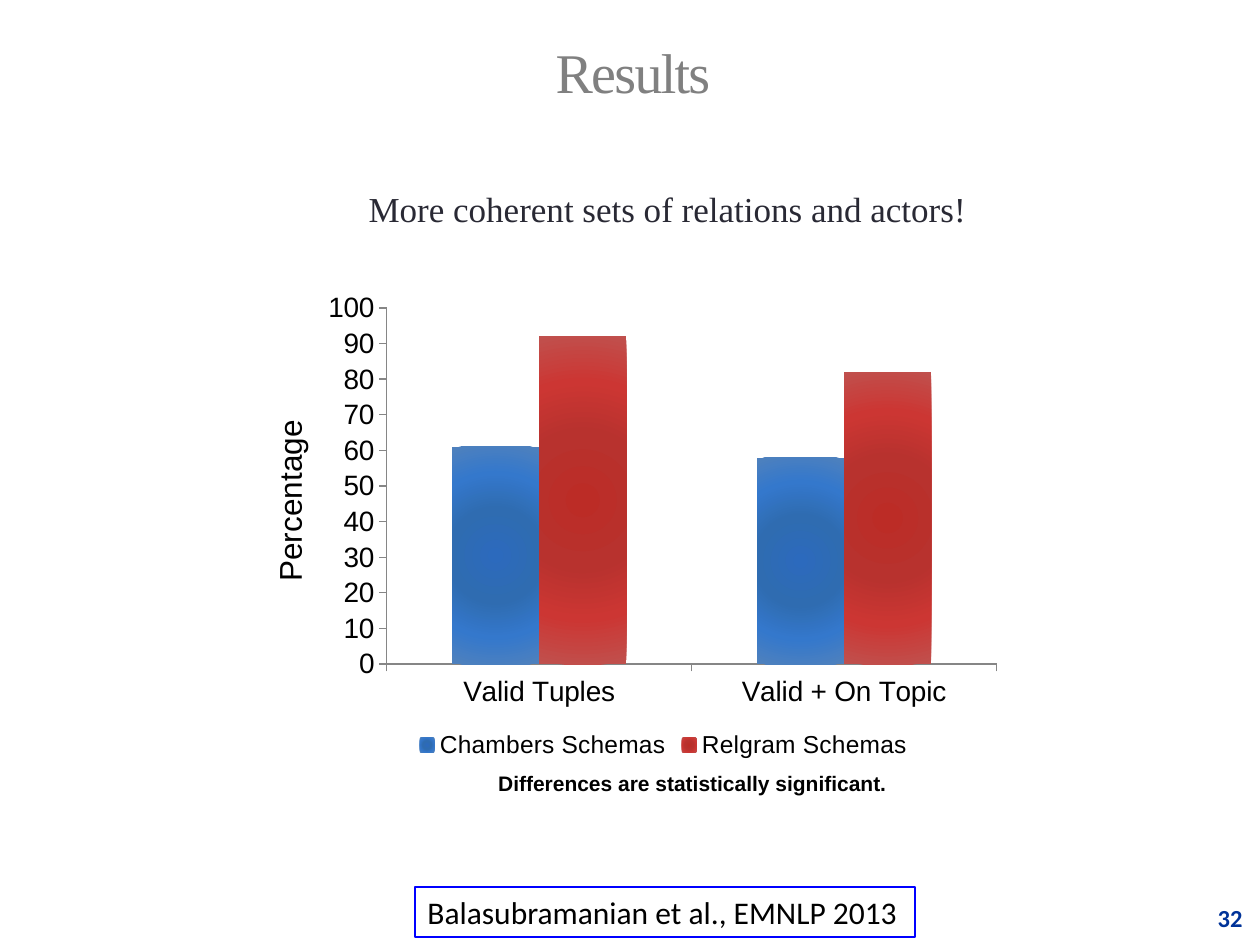
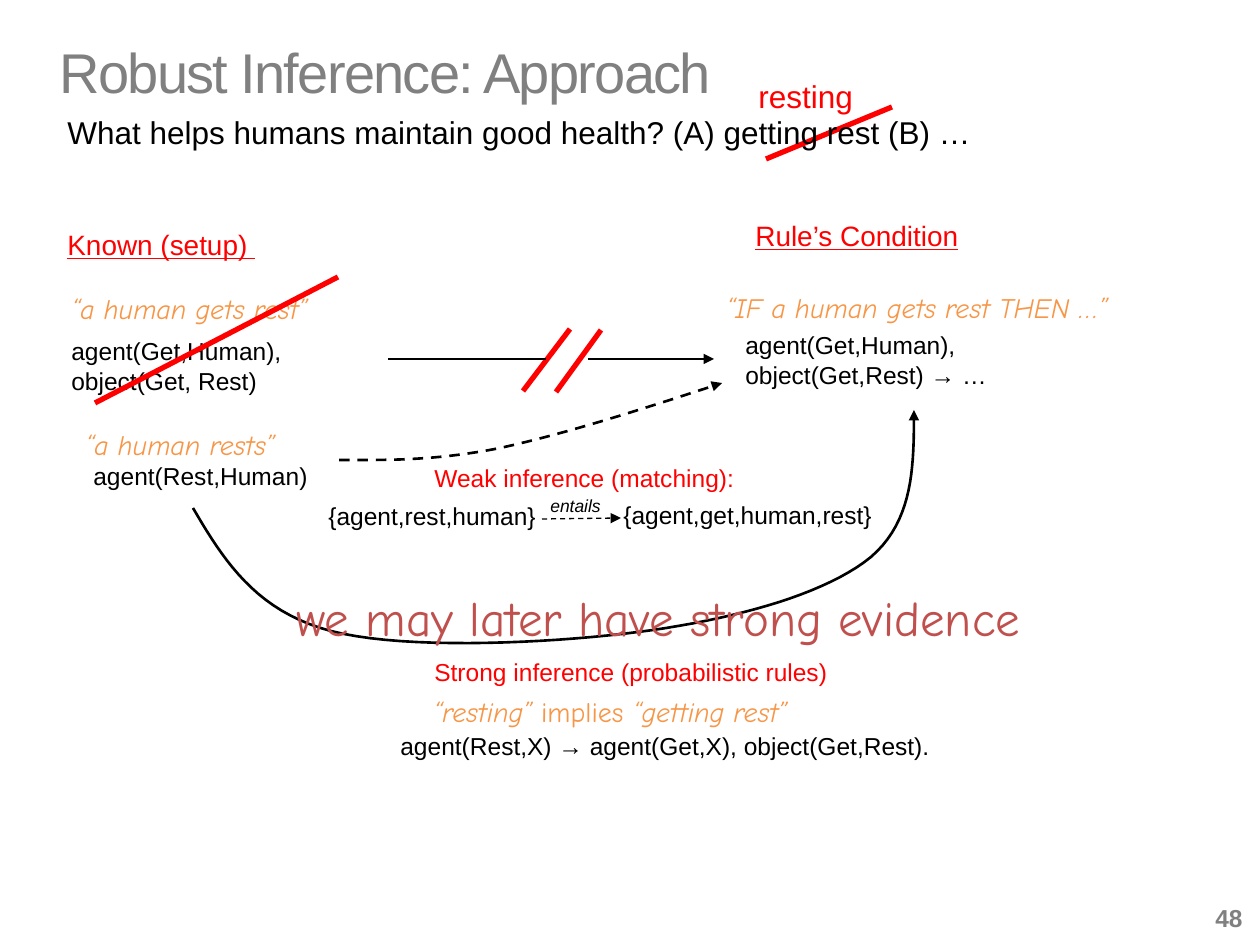
"""Build two slides: schema evaluation results and the robust inference approach."""
from lxml.etree import SubElement
from pptx import Presentation
from pptx.chart.data import CategoryChartData
from pptx.dml.color import RGBColor
from pptx.enum.chart import XL_CHART_TYPE as ChartType, XL_LEGEND_POSITION as LegendPosition
from pptx.enum.chart import XL_TICK_MARK as TickMark
from pptx.enum.dml import MSO_LINE as Dash
from pptx.enum.shapes import MSO_CONNECTOR as Connector, MSO_SHAPE as Shape
from pptx.enum.text import MSO_ANCHOR as Anchor, MSO_AUTO_SIZE as AutoSize, PP_ALIGN as Align
from pptx.oxml import parse_xml
from pptx.oxml.ns import nsdecls, qn
from pptx.util import Pt

PX = 914400 / 126
COLORS = {
    "black": "000000", "white": "FFFFFF", "gray": "808080", "ink": "292934", "navy": "003399",
    "blue": "0000FF", "red": "FF0000", "orange": "F79646", "brick": "C0504D", "axis": "868686",
}
STYLES = {
    "results title": dict(font="Times New Roman", size=32, color="gray", align=Align.CENTER),
    "approach title": dict(font="Arial", size=32, color="gray"),
    "claim": dict(font="Times New Roman", size=20, color="ink", align=Align.CENTER),
    "results number": dict(font="Calibri", size=14, color="navy", bold=True, align=Align.RIGHT),
    "approach number": dict(font="Arial", size=14, color="gray", bold=True, align=Align.RIGHT),
    "citation": dict(font="Calibri", size=18, color="black"),
    "note": dict(font="Arial", size=12, color="black", bold=True, align=Align.CENTER),
    "plain": dict(font="Arial", size=18, color="black"),
    "fix": dict(font="Arial", size=18, color="red"),
    "heading": dict(font="Arial", size=16, color="red", underline=True),
    "label": dict(font="Arial", size=14, color="red"),
    "logic": dict(font="Arial", size=14, color="black"),
    "entails": dict(font="Arial", size=10, color="black", italic=True),
    "phrase": dict(font="Comic Neue", size=16, color="orange", italic=True),
    "evidence": dict(font="Comic Neue", size=28, color="brick"),
}

TITLE_BOX = (47, 3, 1172, 136)
CLAIM_BOX = (144, 181, 1047, 87)
NUMBER_BOX = (1181, 897, 74)
CHART_BOX = (315, 284, 697, 480)
PLOT_BOX = (387, 308, 610, 356)
CATEGORIES = ["Valid Tuples", "Valid + On Topic"]
SERIES = [
    ("Chambers Schemas", (61, 58), ("2C6ABD", "2F6CB1", "3478CC", "4F81BD")),
    ("Relgram Schemas", (92, 82), ("BC2C26", "B8322E", "CC3633", "C0504D")),
]
GRADIENT_STOPS = (0, 40, 70, 100)

TEXTS_BELOW = [
    ("logic", (733, 324, 392), "agent(Get,Human),\nobject(Get,Rest) → …"),
    ("heading", (55, 221, 331), "Known (setup) "),
    ("heading", (743, 212, 331), "Rule’s Condition"),
    ("phrase", (59, 285, 304), "“a human gets rest”"),
    ("phrase", (714, 284, 557), "“IF a human gets rest THEN …”"),
    ("logic", (59, 330, 392), "agent(Get,Human),\nobject(Get, Rest)"),
    ("fix", (746, 71, 130), "resting"),
]
LINES = [
    ((588, 359), (714, 359), dict(arrow=True)),
    ((892, 107), (766, 159), dict(color="red", width=3)),
    ((338, 277), (95, 403), dict(color="red", width=3)),
    ((570, 329), (523, 391), dict(color="red", width=3)),
    ((601, 330), (556, 392), dict(color="red", width=3)),
    ((388, 359), (546, 359), dict()),
    ((542, 519), (621, 518), dict(width=0.75, dashed=True, arrow=True)),
]
CURVES = [
    ([(339, 460), (386, 460), (431, 461), (495, 449), (558, 436), (640, 410), (722, 383)],
     dict(dashed=True, arrow=True)),
    ([(193, 508), (223, 559), (255, 611), (331, 631), (408, 651), (562, 643), (653, 630),
      (742, 617), (827, 593), (871, 557), (914, 520), (914, 465), (914, 410)],
     dict(arrow=True)),
]
TEXTS_ABOVE = [
    ("phrase", (73, 421, 238), "“a human rests”"),
    ("logic", (81, 455, 242), "agent(Rest,Human)"),
    ("plain", (55, 107, 945), "What helps humans maintain good health? (A) getting rest (B) …"),
    ("logic", (316, 495, 368), "{agent,rest,human}"),
    ("logic", (611, 494, 410), "{agent,get,human,rest}"),
    ("entails", (538, 489, 111), "entails"),
    ("label", (422, 457, 379), "Weak inference (matching):"),
    ("logic", (388, 725, 633), "agent(Rest,X) → agent(Get,X), object(Get,Rest)."),
    ("label", (422, 651, 554), "Strong inference (probabilistic rules)"),
    ("phrase", (421, 688, 433), "“resting” |implies| “getting rest”"),
    ("evidence", (284, 581, 862), "we may later have strong evidence"),
]


def emu(*lengths):
    return [round(length * PX) for length in lengths]


def rgb(name):
    return RGBColor.from_string(COLORS[name])


def format_font(target, font, size, color, bold=False, italic=False, underline=False):
    target.name, target.size, target.bold = font, Pt(size), bold
    target.italic, target.underline = italic, underline
    target.color.rgb = rgb(color)


def write(text_frame, text, style, spacing=None):
    options = dict(STYLES[style])
    align = options.pop("align", Align.LEFT)
    text_frame.text = text.replace("|", "")
    for paragraph, line in zip(text_frame.paragraphs, text.split("\n")):
        paragraph.alignment = align
        parts = line.split("|")
        paragraph.runs[0].text = parts[0]
        for part in parts[1:]:
            paragraph.add_run().text = part
        for index, run in enumerate(paragraph.runs):
            format_font(run.font, **options)
            if index % 2:
                run.font.italic = False
            if spacing:
                run.font._element.set("spc", str(spacing))


def text_height(text, style):
    return 13 + 2.1 * STYLES[style]["size"] * len(text.split("\n"))


def add_text(slide, style, box, text):
    shape = slide.shapes.add_textbox(*emu(*box, text_height(text, style)))
    shape.text_frame.word_wrap = True
    shape.text_frame.auto_size = AutoSize.SHAPE_TO_FIT_TEXT
    write(shape.text_frame, text, style)
    return shape


def place(shape, box):
    shape.left, shape.top, shape.width, shape.height = emu(*box)


def add_slide(presentation, layout, kind, title, number):
    slide = presentation.slides.add_slide(presentation.slide_layouts[layout])
    place(slide.shapes.title, TITLE_BOX)
    text_frame = slide.shapes.title.text_frame
    text_frame.vertical_anchor = Anchor.MIDDLE
    text_frame.auto_size = AutoSize.NONE
    write(text_frame, title, f"{kind} title", spacing=-100)
    add_text(slide, f"{kind} number", NUMBER_BOX, number)
    return slide


def style_line(shape, color="black", width=1.5, dashed=False, arrow=False):
    line = shape.line
    line.color.rgb = rgb(color)
    line.width = Pt(width)
    if dashed:
        line.dash_style = Dash.DASH
    if arrow:
        SubElement(line._get_or_add_ln(), qn("a:tailEnd"), type="triangle")


def add_line(slide, start, end, options):
    connector = slide.shapes.add_connector(Connector.STRAIGHT, *emu(*start, *end))
    style_line(connector, **options)
    SubElement(connector._element.spPr, qn("a:effectLst"))


def bezier_points(knots, steps=20):
    for first in range(0, len(knots) - 1, 3):
        segment = knots[first:first + 4]
        for step in range(1, steps + 1):
            t = step / steps
            weights = ((1 - t) ** 3, 3 * t * (1 - t) ** 2, 3 * t * t * (1 - t), t ** 3)
            yield tuple(emu(*(sum(w * point[axis] for w, point in zip(weights, segment))
                              for axis in (0, 1))))


def add_curve(slide, knots, options):
    builder = slide.shapes.build_freeform(*emu(*knots[0]))
    builder.add_line_segments(list(bezier_points(knots)), close=False)
    curve = builder.convert_to_shape()
    curve.fill.background()
    curve.shadow.inherit = False
    style_line(curve, **options)


def radial_fill(colors):
    stops = "".join(
        f'<a:gs pos="{stop * 1000}"><a:srgbClr val="{color}"/></a:gs>'
        for stop, color in zip(GRADIENT_STOPS, colors))
    return parse_xml(
        f'<a:gradFill {nsdecls("a")}><a:gsLst>{stops}</a:gsLst><a:path path="circle">'
        '<a:fillToRect l="50000" t="50000" r="50000" b="50000"/></a:path></a:gradFill>')


def set_plot_box(chart):
    plot_area = chart._chartSpace.chart.plotArea
    for layout in plot_area.xpath("c:layout"):
        plot_area.remove(layout)
    left, top, width, height = CHART_BOX
    x, y, w, h = PLOT_BOX
    fractions = dict(x=(x - left) / width, y=(y - top) / height, w=w / width, h=h / height)
    sizes = "".join(f'<c:{key} val="{value:.3f}"/>' for key, value in fractions.items())
    plot_area.insert(0, parse_xml(
        f'<c:layout {nsdecls("c")}><c:manualLayout><c:layoutTarget val="inner"/>'
        f'<c:xMode val="edge"/><c:yMode val="edge"/>{sizes}</c:manualLayout></c:layout>'))


def add_results_chart(slide):
    data = CategoryChartData()
    data.categories = CATEGORIES
    for name, values, _ in SERIES:
        data.add_series(name, values)
    chart = slide.shapes.add_chart(ChartType.COLUMN_CLUSTERED, *emu(*CHART_BOX), data).chart
    format_font(chart.font, "Arial", 16, "black")
    chart.has_title = False
    chart.has_legend = True
    chart.legend.position = LegendPosition.BOTTOM
    chart.legend.include_in_layout = False
    format_font(chart.legend.font, "Arial", 14, "black")
    plot = chart.plots[0]
    plot.gap_width, plot.overlap, plot.vary_by_categories = 150, 0, False
    for series, (_, _, colors) in zip(plot.series, SERIES):
        series._element.get_or_add_spPr().append(radial_fill(colors))
    for axis in (chart.category_axis, chart.value_axis):
        axis.major_tick_mark = TickMark.OUTSIDE
        axis.minor_tick_mark = TickMark.NONE
        axis.has_major_gridlines = False
        axis.format.line.color.rgb = rgb("axis")
    axis = chart.value_axis
    axis.minimum_scale, axis.maximum_scale, axis.major_unit = 0, 100, 10
    set_plot_box(chart)


def build_results(presentation):
    slide = add_slide(presentation, 1, "results", "Results", "32")
    body = slide.placeholders[1]
    place(body, CLAIM_BOX)
    body.text_frame.auto_size = AutoSize.NONE
    write(body.text_frame, "More coherent sets of relations and actors!", "claim")
    paragraph = body.text_frame.paragraphs[0]
    properties = paragraph._element.get_or_add_pPr()
    properties.set("marL", "0")
    properties.set("indent", "0")
    SubElement(properties, qn("a:buNone"))
    paragraph.space_before = Pt(0)

    citation = slide.shapes.add_shape(Shape.RECTANGLE, *emu(415, 887, 500, 50))
    citation.shadow.inherit = False
    citation.fill.background()
    style_line(citation, color="blue")
    write(citation.text_frame, "Balasubramanian et al., EMNLP 2013", "citation")

    add_results_chart(slide)
    add_text(slide, "note", (387, 764, 611), "Differences are statistically significant.")
    add_text(slide, "plain", (175, 454, 229), "Percentage").rotation = 270


def build_approach(presentation):
    slide = add_slide(presentation, 5, "approach", "Robust Inference: Approach", "48")
    for style, box, text in TEXTS_BELOW:
        add_text(slide, style, box, text)
    for start, end, options in LINES:
        add_line(slide, start, end, options)
    for knots, options in CURVES:
        add_curve(slide, knots, options)
    for style, box, text in TEXTS_ABOVE:
        add_text(slide, style, box, text)


def main():
    presentation = Presentation()
    presentation.slide_width, presentation.slide_height = emu(1260, 945)
    build_results(presentation)
    build_approach(presentation)
    presentation.save("out.pptx")


if __name__ == "__main__":
    main()
